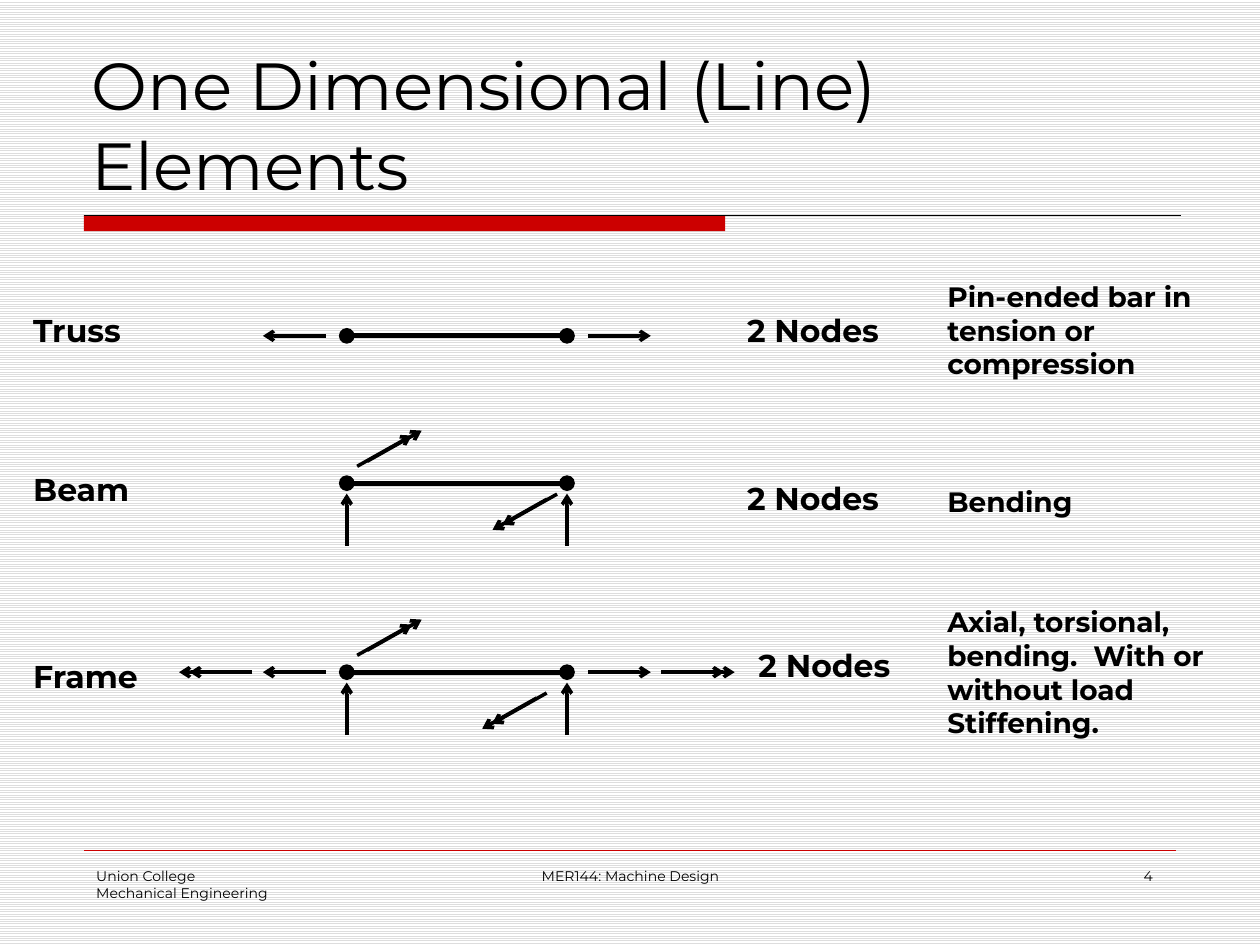
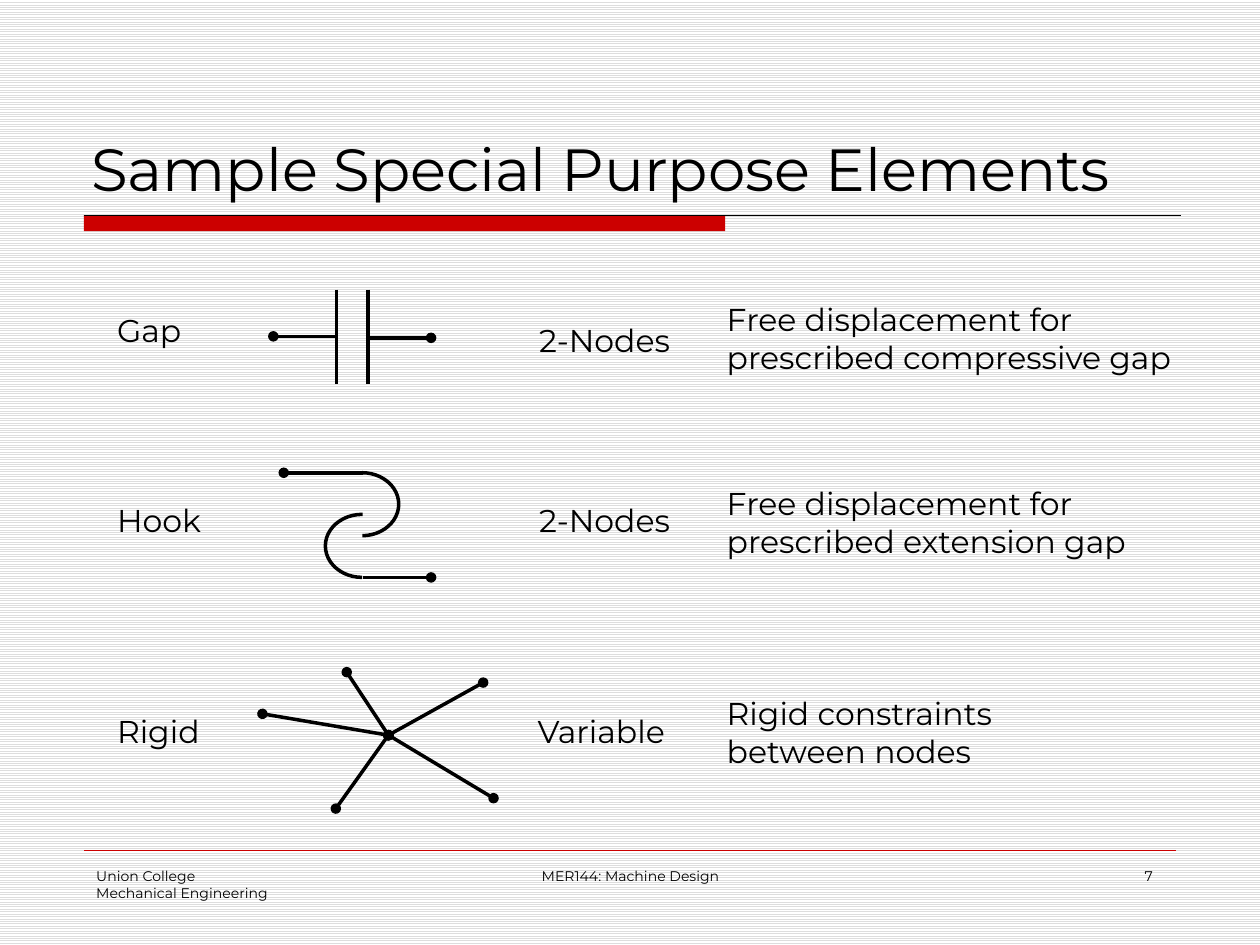
from lxml import etree
from pptx import Presentation
from pptx.dml.color import RGBColor
from pptx.enum.dml import MSO_PATTERN
from pptx.enum.shapes import MSO_CONNECTOR, MSO_SHAPE
from pptx.enum.text import MSO_ANCHOR, MSO_AUTO_SIZE, PP_ALIGN
from pptx.oxml.ns import qn
from pptx.util import Cm, Pt

LEFT, CENTER, RIGHT = PP_ALIGN.LEFT, PP_ALIGN.CENTER, PP_ALIGN.RIGHT
TOP, BOTTOM = MSO_ANCHOR.TOP, MSO_ANCHOR.BOTTOM
FIT_SHAPE = MSO_AUTO_SIZE.SHAPE_TO_FIT_TEXT
STRAIGHT = MSO_CONNECTOR.STRAIGHT
RECTANGLE, ARC = MSO_SHAPE.RECTANGLE, MSO_SHAPE.ARC
LIGHT_HORIZONTAL = MSO_PATTERN.LIGHT_HORIZONTAL

FONT = "Montserrat"
COLORS = {"ink": "000000", "red": "CC0000", "stripe": "DDDDDD", "paper": "FFFFFF"}
COLORS = {name: RGBColor.from_string(value) for name, value in COLORS.items()}


def add_text(page, place, text, size, bold=False, align=LEFT, anchor=TOP, wrap=False):
    box = page.shapes.add_textbox(*(Cm(length) for length in place))
    frame = box.text_frame
    frame.text = text
    frame.word_wrap = wrap
    frame.vertical_anchor = anchor
    if not wrap:
        frame.auto_size = FIT_SHAPE
    for para in frame.paragraphs:
        para.alignment = align
        for span in para.runs:
            span.font.name = FONT
            span.font.size = Pt(size)
            span.font.bold = bold
            span.font.color.rgb = COLORS["ink"]


def draw_line(page, start, end, weight=2, color="ink", head=None, tail=None):
    line = page.shapes.add_connector(STRAIGHT, *(Cm(length) for length in start + end))
    line.line.color.rgb = COLORS[color]
    line.line.width = Pt(weight)
    outline = line.line._get_or_add_ln()
    for tag, kind in (("a:headEnd", head), ("a:tailEnd", tail)):
        if kind:
            etree.SubElement(outline, qn(tag), type=kind)
    etree.SubElement(line._element.spPr, qn("a:effectLst"))


# Deck and striped background
deck = Presentation()
deck.slide_width, deck.slide_height = Cm(25.4), Cm(19.05)
stripes = deck.slide_master.background.fill
stripes.patterned()
stripes.pattern = LIGHT_HORIZONTAL
stripes.fore_color.rgb = COLORS["stripe"]
stripes.back_color.rgb = COLORS["paper"]

# Title, red band and footer on every page
pages = []
for title, title_size, number in (
    ("One Dimensional (Line) Elements", 38, "4"),
    ("Sample Special Purpose Elements", 34, "7"),
):
    page = deck.slides.add_slide(deck.slide_layouts[6])
    band = page.shapes.add_shape(RECTANGLE, Cm(1.69), Cm(4.34), Cm(12.93), Cm(0.32))
    band.shadow.inherit = False
    band.fill.solid()
    band.fill.fore_color.rgb = COLORS["red"]
    band.line.fill.background()
    draw_line(page, (1.69, 4.34), (23.8, 4.34), 0.75)
    draw_line(page, (1.69, 17.15), (23.7, 17.15), 0.25, "red")
    add_text(page, (1.59, 0.84, 22.23, 3.39), title, title_size, anchor=BOTTOM, wrap=True)
    for left, width, text, align in (
        (1.69, 5.28, "Union College\nMechanical Engineering", LEFT),
        (8.69, 8.05, "MER144: Machine Design", CENTER),
        (18.21, 5.28, number, RIGHT),
    ):
        add_text(page, (left, 17.36, width, 1.27), text, 8, align=align, wrap=True)
    pages.append(page)
line_page, special_page = pages

# Line elements: a bar between two nodes, with its loads
LEFT_NODE, RIGHT_NODE = 6.99, 11.43
ARROW = 1.27
for y, has_axial, has_bending, has_torsion, moment_gap in (
    (6.77, True, False, False, None),
    (9.74, False, True, False, (0.2, 0.22)),
    (13.55, True, True, True, (0.41, 0.42)),
):
    draw_line(line_page, (LEFT_NODE, y), (RIGHT_NODE, y), 3, head="oval", tail="oval")

    # Forces along the bar; a torque is a double arrow
    gaps = [0.42] * has_axial + [1.9, 2.11] * has_torsion
    for node, side in ((LEFT_NODE, -1), (RIGHT_NODE, 1)):
        for gap in gaps:
            x = node + side * gap
            draw_line(line_page, (x, y), (x + side * ARROW, y), tail="arrow")

    # Shear forces and bending moments
    if has_bending:
        for node in (LEFT_NODE, RIGHT_NODE):
            draw_line(line_page, (node, y + ARROW), (node, y + 0.21), tail="arrow")
        for x, start_y, side in (
            (LEFT_NODE + 0.21, y - 0.34, 1),
            (RIGHT_NODE - moment_gap[0], y + moment_gap[1], -1),
        ):
            for step in (0, 1):
                start = (x + side * step * 0.2, start_y - side * step * 0.1)
                end = (start[0] + side * 1.1, start[1] - side * 0.62)
                draw_line(line_page, start, end, tail="arrow")

# Line elements: wording
for place, text, size in (
    ((0.42, 6.15, 2.46, 1.02), "Truss", 18),
    ((0.42, 9.35, 2.51, 1.02), "Beam", 18),
    ((0.42, 13.13, 2.72, 1.02), "Frame", 18),
    ((14.81, 6.15, 3.35, 1.02), "2 Nodes", 18),
    ((14.81, 9.53, 3.35, 1.02), "2 Nodes", 18),
    ((15.04, 12.9, 3.35, 1.02), "2 Nodes", 18),
    ((18.85, 5.51, 5.54, 2.31), "Pin-ended bar in\ntension or\ncompression", 16),
    ((18.85, 9.65, 3.05, 0.94), "Bending", 16),
    ((18.85, 12.07, 5.97, 3),
     "Axial, torsional,\nbending.  With or\nwithout load\nStiffening.", 16),
):
    add_text(line_page, place, text, size, bold=True)

# Gap: two facing plates, each with a node
for node, plate, y in ((5.51, 6.78, 6.78), (8.69, 7.42, 6.81)):
    draw_line(special_page, (plate, y), (node, y), tail="oval")
    draw_line(special_page, (plate, 5.84), (plate, 7.75))

# Hook: two half circles, each with a node
for top, angles, node, y in (
    (9.53, (162, 53.61), 5.72, 9.53),
    (10.37, (54, 162.61), 8.69, 11.64),
):
    hook = special_page.shapes.add_shape(ARC, Cm(6.56), Cm(top), Cm(1.48), Cm(1.27))
    hook.adjustments[0], hook.adjustments[1] = angles
    hook.shadow.inherit = False
    hook.fill.background()
    hook.line.color.rgb = COLORS["ink"]
    hook.line.width = Pt(2)
    draw_line(special_page, (7.32, y), (node, y), tail="oval")

# Rigid: spokes from one hub
HUB = (7.83, 14.82)
for node in ((6.99, 13.55), (5.29, 14.39), (9.74, 13.76), (9.95, 16.09), (6.77, 16.3)):
    draw_line(special_page, node, HUB, head="oval", tail="oval")

# Special elements: wording
for place, text in (
    ((2.11, 6.15, 1.91, 1.02), "Gap"),
    ((2.11, 9.98, 2.34, 1.02), "Hook"),
    ((2.11, 14.22, 2.29, 1.02), "Rigid"),
    ((10.62, 6.35, 3.35, 1.02), "2-Nodes"),
    ((10.62, 9.98, 3.35, 1.02), "2-Nodes"),
    ((10.59, 14.22, 3.4, 1.02), "Variable"),
    ((14.4, 5.92, 10.41, 1.8), "Free displacement for\nprescribed compressive gap"),
    ((14.4, 9.63, 9.42, 1.8), "Free displacement for\nprescribed extension gap"),
    ((14.4, 13.87, 6.5, 1.8), "Rigid constraints\nbetween nodes"),
):
    add_text(special_page, place, text, 18)

deck.save("out.pptx")
